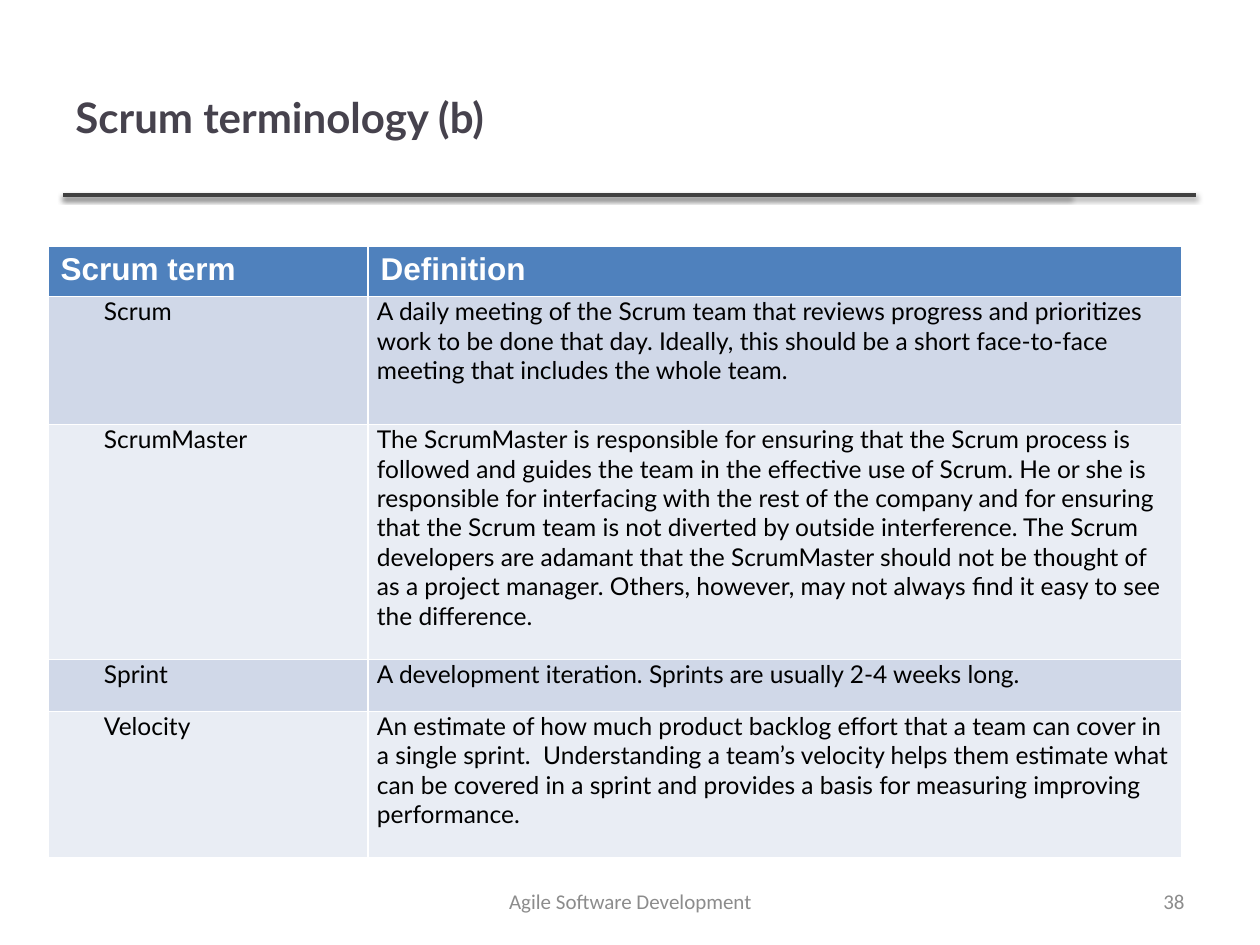
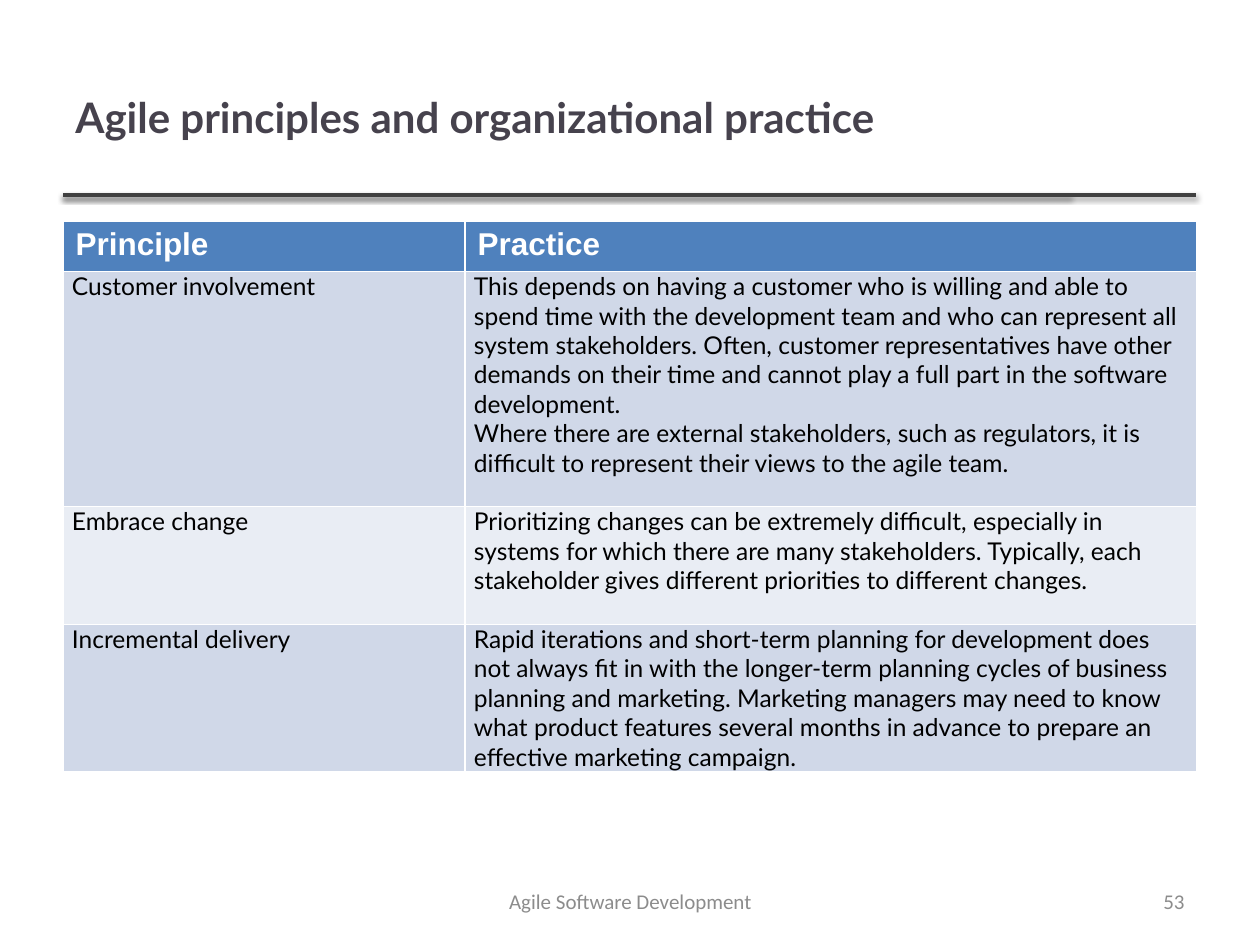
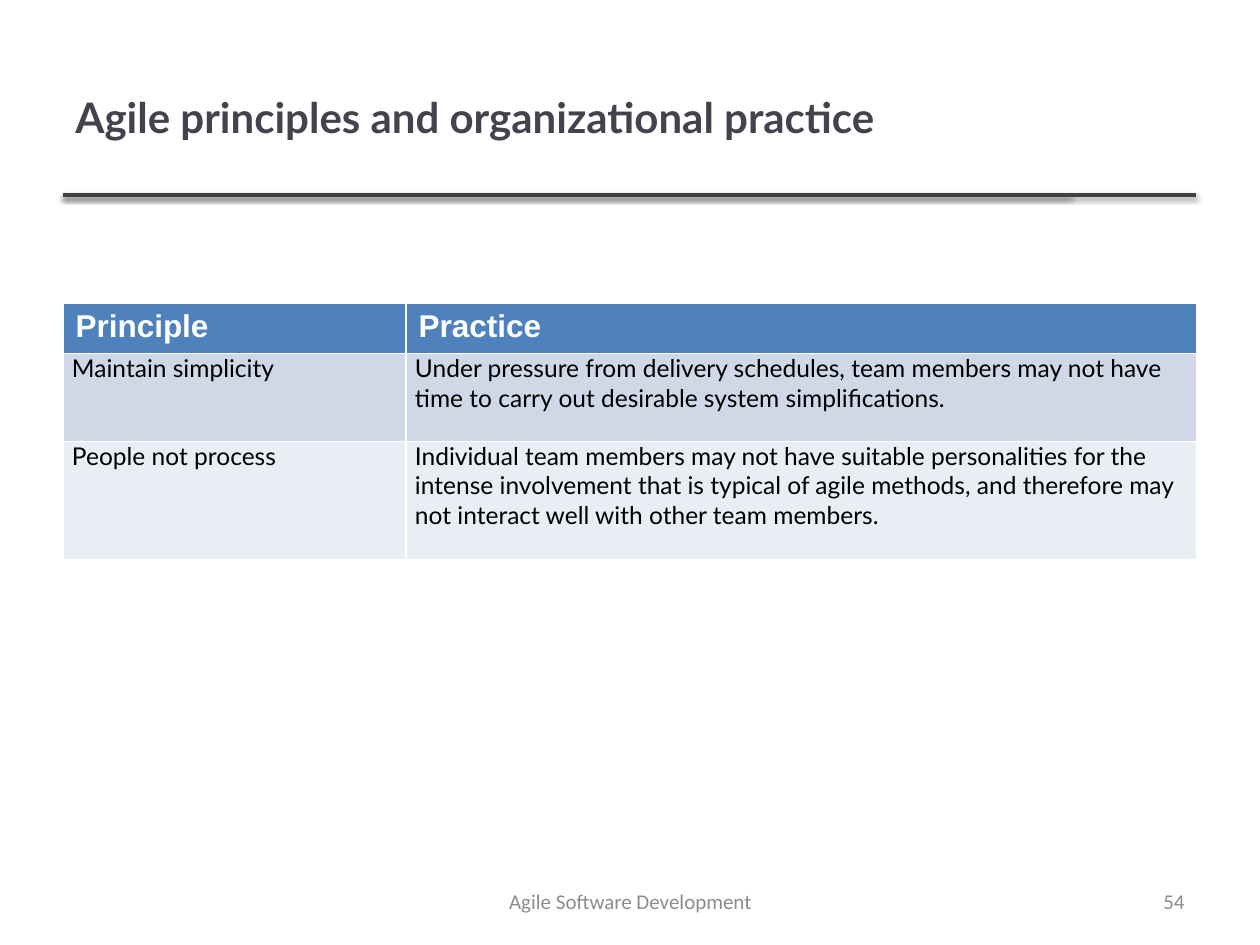
from dataclasses import dataclass

from lxml import etree
from pptx import Presentation
from pptx import util as u
from pptx.dml.color import RGBColor
from pptx.enum import shapes, text
from pptx.oxml.ns import qn

DPI = 126
INK = "46424D"
RULE = "404040"
GREY = "8C8C8C"
WHITE = "FFFFFF"
BLACK = "000000"
HEAD = "4F81BD"
BANDS = ("D0D8E8", "E9EDF4")
FOOTER = "Agile Software Development"
HEAD_TALL = 50


def px(n: int) -> u.Emu:
    return u.Emu(round(n * 914400 / DPI))


def tint(code: str) -> RGBColor:
    return RGBColor.from_string(code)


@dataclass(frozen=True)
class Font:
    name: str
    size: int
    color: str
    bold: bool = False


@dataclass(frozen=True)
class Box:
    left: int
    top: int
    width: int
    height: int


@dataclass(frozen=True)
class Row:
    term: str
    body: str
    height: int


@dataclass(frozen=True)
class Page:
    number: int
    title: str
    heads: tuple[str, str]
    left: int
    top: int
    widths: tuple[int, int]
    rows: tuple[Row, ...]
    indent: int = 0


TITLE = Font("Lato", 24, INK, True)
LABEL = Font("Arial", 18, WHITE, True)
BODY = Font("Lato", 14, BLACK)
SMALL = Font("Calibri", 12, GREY)

TITLE_BOX = Box(63, 38, 1006, 157)
FOOT_BOX = Box(431, 876, 399, 50)
PAGE_BOX = Box(903, 876, 294, 50)
RULE_LEFT, RULE_TOP, RULE_ENDS = 63, 195, (1070, 1196)

PRACTICE = "Agile principles and organizational practice"
PAIR = ("Principle", "Practice")

PAGES = (
    Page(38, "Scrum terminology (b)", ("Scrum term", "Definition"), 48, 246, (320, 814), (
        Row("Scrum",
            "A daily meeting of the Scrum team that reviews progress and prioritizes work to be "
            "done that day. Ideally, this should be a short face-to-face meeting that includes "
            "the whole team.", 128),
        Row("ScrumMaster",
            "The ScrumMaster is responsible for ensuring that the Scrum process is followed and "
            "guides the team in the effective use of Scrum. He or she is responsible for "
            "interfacing with the rest of the company and for ensuring that the Scrum team is "
            "not diverted by outside interference. The Scrum developers are adamant that the "
            "ScrumMaster should not be thought of as a project manager. Others, however, may "
            "not always find it easy to see the difference.", 235),
        Row("Sprint", "A development iteration. Sprints are usually 2-4 weeks long.", 52),
        Row("Velocity",
            "An estimate of how much product backlog effort that a team can cover in a single "
            "sprint.  Understanding a team’s velocity helps them estimate what can be covered "
            "in a sprint and provides a basis for measuring improving performance.", 146),
    ), 47),
    Page(53, PRACTICE, PAIR, 63, 221, (402, 732), (
        Row("Customer involvement",
            "This depends on having a customer who is willing and able to spend time with the "
            "development team and who can represent all system stakeholders. Often, customer "
            "representatives have other demands on their time and cannot play a full part in "
            "the software development.\n"
            "Where there are external stakeholders, such as regulators, it is difficult to "
            "represent their views to the agile team.", 235),
        Row("Embrace change",
            "Prioritizing changes can be extremely difficult, especially in systems for which "
            "there are many stakeholders. Typically, each stakeholder gives different "
            "priorities to different changes.", 118),
        Row("Incremental delivery",
            "Rapid iterations and short-term planning for development does not always fit in "
            "with the longer-term planning cycles of business planning and marketing. Marketing "
            "managers may need to know what product features several months in advance to "
            "prepare an effective marketing campaign.", 147),
    )),
    Page(54, PRACTICE, PAIR, 63, 303, (343, 791), (
        Row("Maintain simplicity",
            "Under pressure from delivery schedules, team members may not have time to carry "
            "out desirable system simplifications.", 88),
        Row("People not process",
            "Individual team members may not have suitable personalities for the intense "
            "involvement that is typical of agile methods, and therefore may not interact well "
            "with other team members.", 118),
    )),
)


def write(frame, words: str, font: Font, align=text.PP_ALIGN.LEFT) -> None:
    frame.text = words
    for para in frame.paragraphs:
        para.alignment = align
        for run in para.runs:
            run.font.name = font.name
            run.font.size = u.Pt(font.size)
            run.font.bold = font.bold
            run.font.color.rgb = tint(font.color)


def add_text(slide, box: Box, words: str, font: Font, align=text.PP_ALIGN.LEFT) -> None:
    shape = slide.shapes.add_textbox(px(box.left), px(box.top), px(box.width), px(box.height))
    frame = shape.text_frame
    frame.word_wrap = True
    frame.vertical_anchor = text.MSO_ANCHOR.MIDDLE
    write(frame, words, font, align)


def add_rule(slide, end: int) -> None:
    line = slide.shapes.add_connector(
        shapes.MSO_CONNECTOR.STRAIGHT, px(RULE_LEFT), px(RULE_TOP), px(end), px(RULE_TOP))
    line.line.color.rgb = tint(RULE)
    line.line.width = u.Pt(2)
    effects = etree.SubElement(line._element.spPr, qn("a:effectLst"))
    shade = etree.SubElement(effects, qn("a:outerShdw"), blurRad="40000", dist="20000",
                             dir="5400000", rotWithShape="0")
    color = etree.SubElement(shade, qn("a:srgbClr"), val=BLACK)
    etree.SubElement(color, qn("a:alpha"), val="38000")


def fill_cell(cell, words: str, font: Font, color: str) -> None:
    cell.fill.solid()
    cell.fill.fore_color.rgb = tint(color)
    write(cell.text_frame, words, font)


def add_grid(slide, page: Page) -> None:
    heights = [HEAD_TALL] + [row.height for row in page.rows]
    table = slide.shapes.add_table(
        len(heights), len(page.widths), px(page.left), px(page.top),
        px(sum(page.widths)), px(sum(heights))).table
    for col, width in zip(table.columns, page.widths):
        col.width = px(width)
    for line, height in zip(table.rows, heights):
        line.height = px(height)
    for c, words in enumerate(page.heads):
        fill_cell(table.cell(0, c), words, LABEL, HEAD)
    for r, row in enumerate(page.rows):
        for c, words in enumerate((row.term, row.body)):
            cell = table.cell(r + 1, c)
            cell.margin_left = cell.margin_right = px(9)
            cell.margin_top = cell.margin_bottom = 0
            fill_cell(cell, words, BODY, BANDS[r % 2])
        if page.indent:
            first = table.cell(r + 1, 0).text_frame.paragraphs[0]
            first._p.get_or_add_pPr().set("indent", str(px(page.indent)))


def add_page(deck, page: Page) -> None:
    slide = deck.slides.add_slide(deck.slide_layouts[6])
    for end in RULE_ENDS:
        add_rule(slide, end)
    add_text(slide, TITLE_BOX, page.title, TITLE)
    add_grid(slide, page)
    add_text(slide, FOOT_BOX, FOOTER, SMALL, text.PP_ALIGN.CENTER)
    add_text(slide, PAGE_BOX, str(page.number), SMALL, text.PP_ALIGN.RIGHT)


def main() -> None:
    deck = Presentation()
    deck.slide_width, deck.slide_height = px(1260), px(945)
    for page in PAGES:
        add_page(deck, page)
    deck.save("out.pptx")


if __name__ == "__main__":
    main()
